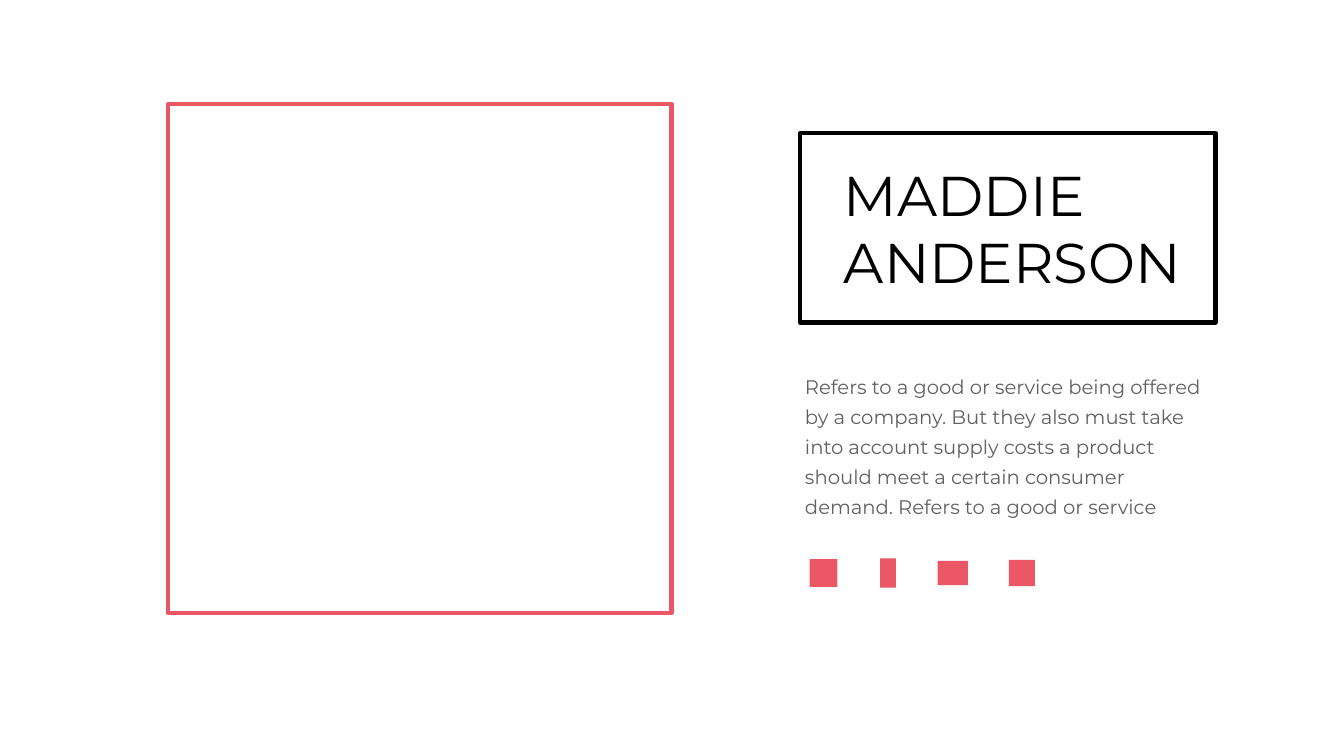
from pptx import Presentation
from pptx.dml.color import RGBColor
from pptx.enum import shapes, text
from pptx.util import Pt

COLORS = {"paper": "FFFFFF", "accent": "EC5765", "ink": "000000", "body": "606160"}
FONT = "Montserrat"
COLUMN_LEFT, COLUMN_WIDTH = 1142.64, 593.28
ICON_MIDDLE = 818.5
ICONS = [(1156.3, 39.6, 39.6), (1257.1, 22.3, 41.8), (1339.2, 43.2, 34.6), (1440.7, 37.4, 37.4)]
BIO = (
    "Refers to a good or service being offered by a company. "
    "But they also must take into account supply costs a product "
    "should meet a certain consumer demand. Refers to a good or service"
)


def color(name):
    return RGBColor.from_string(COLORS[name])


def add_rectangle(page, left, top, width, height):
    box = page.shapes.add_shape(
        shapes.MSO_SHAPE.RECTANGLE, Pt(left), Pt(top), Pt(width), Pt(height)
    )
    box.shadow.inherit = False
    return box


def add_frame(page, left, top, width, height, name):
    frame = add_rectangle(page, left, top, width, height)
    frame.fill.background()
    frame.line.color.rgb = color(name)
    frame.line.width = Pt(6)


def add_icon(page, left, width, height):
    icon = add_rectangle(page, left, ICON_MIDDLE - height / 2, width, height)
    icon.fill.solid()
    icon.fill.fore_color.rgb = color("accent")
    icon.line.fill.background()


def write(box, words, size, name, spacing):
    frame = box.text_frame
    frame.text = words
    frame.word_wrap = True
    frame.auto_size = text.MSO_AUTO_SIZE.NONE
    frame.vertical_anchor = text.MSO_ANCHOR.TOP
    for para in frame.paragraphs:
        para.alignment = text.PP_ALIGN.LEFT
        para.line_spacing = spacing
        for span in para.runs:
            span.font.name = FONT
            span.font.size = Pt(size)
            span.font.color.rgb = color(name)


def add_title(page, words):
    title = page.shapes.title
    title.left, title.top = Pt(1198.08), Pt(225.36)
    title.width, title.height = Pt(560.16), Pt(200.88)
    write(title, words, 80, "ink", 1.0)


def add_bio(page, words):
    box = page.shapes.add_textbox(Pt(COLUMN_LEFT), Pt(522), Pt(COLUMN_WIDTH), Pt(220.32))
    write(box, words, 28, "body", Pt(43))


def main():
    deck = Presentation()
    deck.slide_width, deck.slide_height = Pt(1919.52), Pt(1080)
    page = deck.slides.add_slide(deck.slide_layouts.get_by_name("Title Only"))
    page.background.fill.solid()
    page.background.fill.fore_color.rgb = color("paper")
    add_frame(page, 240.48, 148.32, 718.56, 727.92, "accent")
    add_bio(page, BIO)
    add_title(page, "MADDIE\nANDERSON")
    add_frame(page, COLUMN_LEFT, 190.08, COLUMN_WIDTH, 270.72, "ink")
    for left, width, height in ICONS:
        add_icon(page, left, width, height)
    deck.save("out.pptx")


if __name__ == "__main__":
    main()
